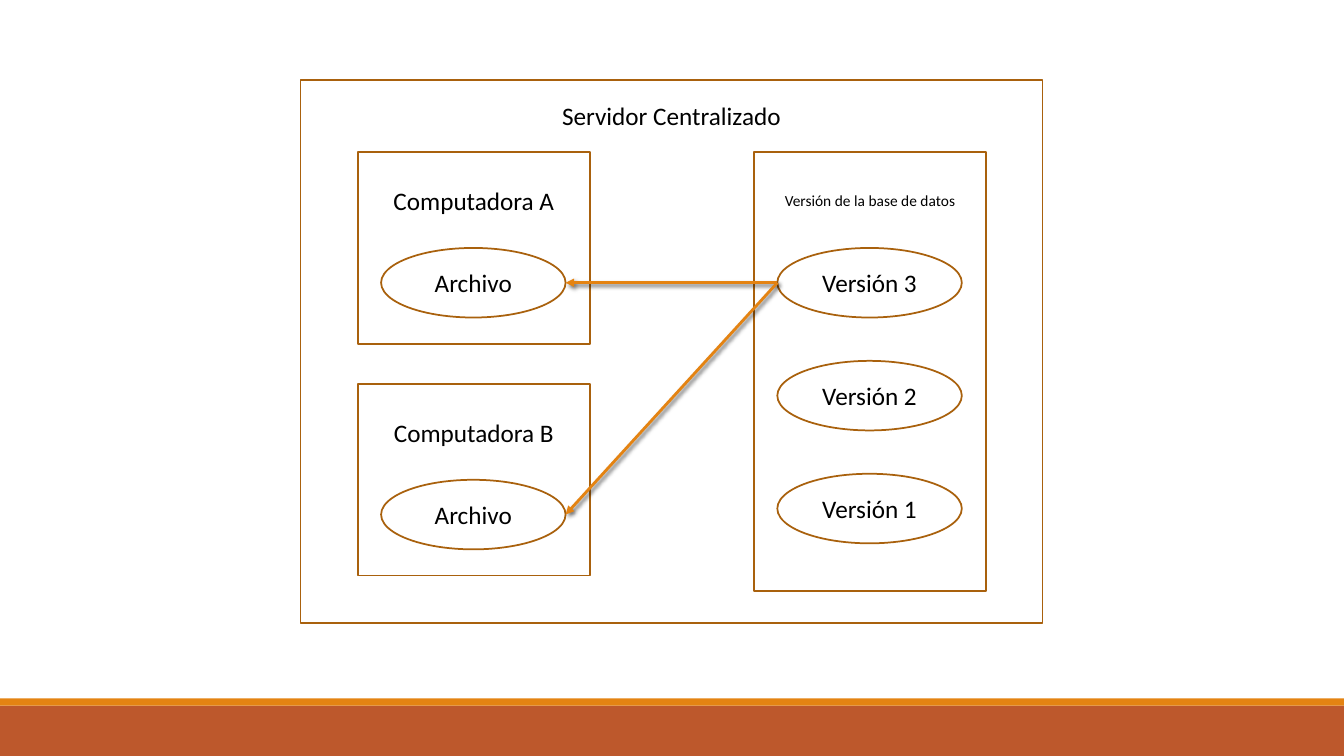
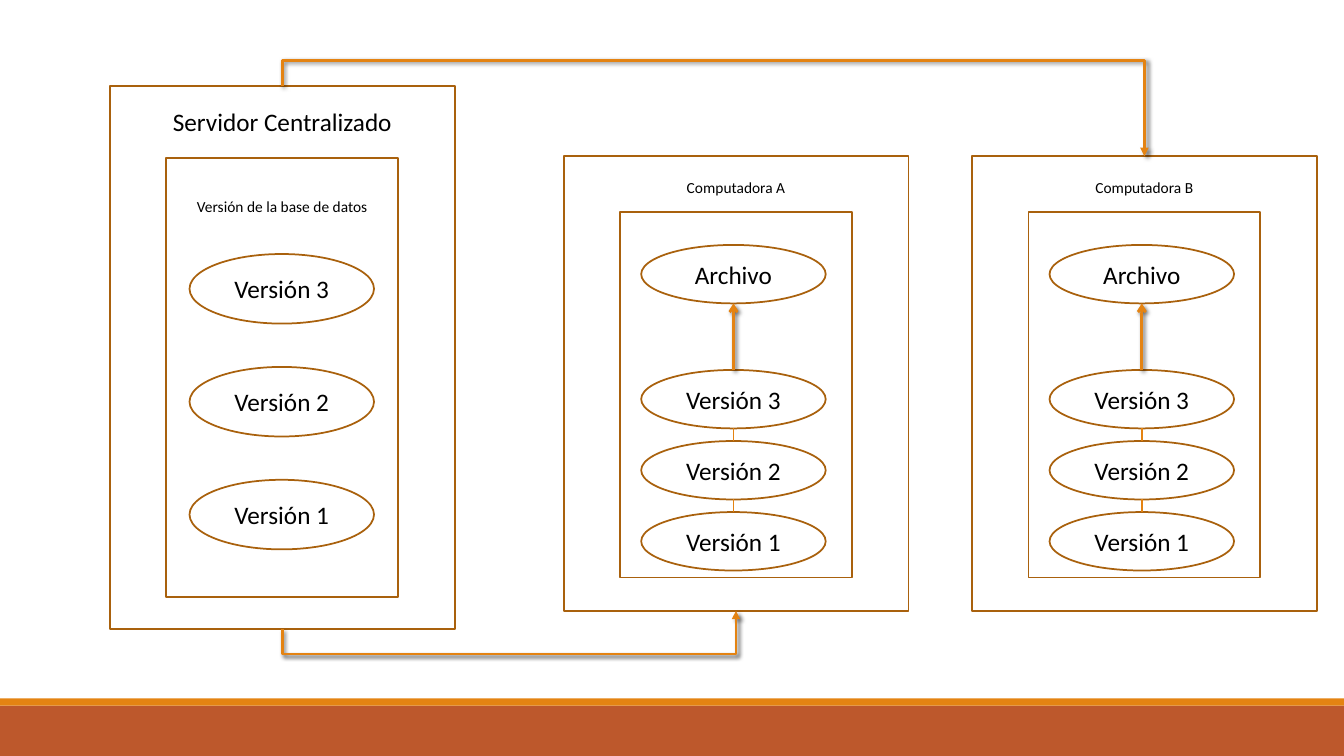
from dataclasses import dataclass

from lxml.etree import SubElement
from pptx import Presentation
from pptx.dml.color import RGBColor
from pptx.enum.shapes import MSO_CONNECTOR as Link, MSO_SHAPE as Preset
from pptx.enum.text import MSO_ANCHOR, MSO_AUTO_SIZE, PP_ALIGN
from pptx.oxml.ns import qn
from pptx.shapes.autoshape import Shape
from pptx.shapes.connector import Connector
from pptx.shapes.shapetree import GroupShapes, SlideShapes
from pptx.slide import Slide
from pptx.util import Inches, Pt

WHITE = RGBColor(0xFF, 0xFF, 0xFF)
BLACK = RGBColor(0x00, 0x00, 0x00)
BROWN = RGBColor(0xA9, 0x61, 0x0D)
ORANGE = RGBColor(0xE4, 0x83, 0x12)
RUST = RGBColor(0xBD, 0x58, 0x2C)

FONT = "Calibri"
LARGE, SMALL = 18, 11
PAGE_WIDTH, PAGE_HEIGHT = 13.33, 7.5
PANEL_WIDTH, OVAL_WIDTH = 2.3, 1.83
VERSIONS = ("Versión 3", "Versión 2", "Versión 1")

Canvas = GroupShapes | SlideShapes
Point = tuple[float, float]


@dataclass(frozen=True)
class Box:
    """A rectangle in inches, with the points where connectors attach."""
    left: float
    top: float
    width: float
    height: float

    @property
    def west(self) -> Point:
        return self.left, self.top + self.height / 2

    @property
    def east(self) -> Point:
        return self.left + self.width, self.top + self.height / 2

    @property
    def north(self) -> Point:
        return self.left + self.width / 2, self.top

    @property
    def south(self) -> Point:
        return self.left + self.width / 2, self.top + self.height

    def lengths(self) -> list[int]:
        return [Inches(v) for v in (self.left, self.top, self.width, self.height)]


# Basic elements
def write(shape: Shape, text: str, size: int) -> None:
    frame = shape.text_frame
    frame.text = text
    para = frame.paragraphs[0]
    para.alignment = PP_ALIGN.CENTER
    font = para.runs[0].font
    font.name, font.size, font.color.rgb = FONT, Pt(size), BLACK


def add_figure(canvas: Canvas, preset: Preset, box: Box, fill: RGBColor = WHITE) -> Shape:
    shape = canvas.add_shape(preset, *box.lengths())
    shape.shadow.inherit = False
    shape.fill.solid()
    shape.fill.fore_color.rgb = fill
    shape.line.color.rgb = BROWN
    shape.line.width = Pt(1.25)
    return shape


def add_oval(canvas: Canvas, box: Box, text: str) -> Box:
    oval = add_figure(canvas, Preset.OVAL, box)
    oval.text_frame.vertical_anchor = MSO_ANCHOR.MIDDLE
    write(oval, text, LARGE)
    return box


def add_label(canvas: Canvas, left: float, top: float, width: float,
              text: str, size: int = LARGE) -> None:
    height = 0.4 if size == LARGE else 0.29
    label = canvas.add_textbox(*Box(left, top, width, height).lengths())
    label.text_frame.word_wrap = True
    label.text_frame.auto_size = MSO_AUTO_SIZE.SHAPE_TO_FIT_TEXT
    write(label, text, size)


# Connectors
def style_connector(connector: Connector, head: str | None) -> None:
    """Thin plain line without a head; thick shadowed arrow with one."""
    connector.line.color.rgb = ORANGE
    connector.line.width = Pt(2 if head else 1)
    properties = connector.element.spPr
    effects = SubElement(properties, qn("a:effectLst"))
    if head:
        SubElement(properties.find(qn("a:ln")), qn("a:tailEnd"), type=head)
        shadow = SubElement(effects, qn("a:outerShdw"), blurRad=str(Pt(3)),
                            dist=str(Pt(2)), dir="2700000", rotWithShape="0")
        color = SubElement(shadow, qn("a:srgbClr"), val=str(BLACK))
        SubElement(color, qn("a:alpha"), val="60000")


def add_line(canvas: Canvas, start: Point, end: Point, head: str | None = None) -> None:
    ends = [Inches(v) for v in (*start, *end)]
    style_connector(canvas.add_connector(Link.STRAIGHT, *ends), head)


def add_elbow(canvas: Canvas, start: Point, end: Point, rail: float) -> None:
    """Leave start vertically, run along the height of rail, and arrive at end."""
    across, down = end[0] - start[0], end[1] - start[1]
    middle_x, middle_y = (start[0] + end[0]) / 2, (start[1] + end[1]) / 2
    half_width, half_height = abs(down) / 2, across / 2
    corners = (middle_x - half_width, middle_y - half_height,
               middle_x + half_width, middle_y + half_height)
    elbow = canvas.add_connector(Link.ELBOW, *[Inches(v) for v in corners])
    # The preset runs sideways, so it is turned and mirrored
    transform = elbow.element.spPr.find(qn("a:xfrm"))
    transform.set("rot", str((270 if down > 0 else 90) * 60000))
    transform.set("flipH", "1")
    if down < 0:
        transform.set("flipV", "1")
    bend = round((rail - start[1]) / down * 100000)
    guides = elbow.element.spPr.find(qn("a:prstGeom")).find(qn("a:avLst"))
    SubElement(guides, qn("a:gd"), name="adj1", fmla=f"val {bend}")
    style_connector(elbow, "triangle")


# Diagram parts
def add_server(canvas: Canvas, frame: Box) -> None:
    add_figure(canvas, Preset.RECTANGLE, frame)
    add_label(canvas, frame.left, frame.top + 0.16, frame.width, "Servidor Centralizado")


def add_database(canvas: Canvas, left: float, top: float) -> list[Box]:
    add_figure(canvas, Preset.RECTANGLE, Box(left, top, PANEL_WIDTH, 4.35))
    add_label(canvas, left, top + 0.34, PANEL_WIDTH, "Versión de la base de datos", SMALL)
    return [add_oval(canvas, Box(left + 0.23, top + 0.95 + 1.12 * row, OVAL_WIDTH, 0.69), text)
            for row, text in enumerate(VERSIONS)]


def add_workstation(canvas: Canvas, left: float, top: float, name: str) -> Box:
    """Computer holding only the working file."""
    add_figure(canvas, Preset.RECTANGLE, Box(left, top, PANEL_WIDTH, 1.9))
    add_label(canvas, left, top + 0.28, PANEL_WIDTH, name)
    return add_oval(canvas, Box(left + 0.23, top + 0.95, OVAL_WIDTH, 0.69), "Archivo")


def add_replica(canvas: Canvas, left: float, top: float, name: str) -> Box:
    """Computer holding the working file and every version."""
    frame = Box(left, top, 3.42, 4.51)
    panel = Box(left + 0.56, top + 0.55, PANEL_WIDTH, 3.63)
    add_figure(canvas, Preset.RECTANGLE, frame)
    add_figure(canvas, Preset.RECTANGLE, panel)
    add_label(canvas, panel.left, top + 0.17, PANEL_WIDTH, name, SMALL)
    oval_left = panel.left + 0.21
    ovals = [add_oval(canvas, Box(oval_left, top + 2.12 + 0.705 * row, OVAL_WIDTH, 0.58), text)
             for row, text in enumerate(VERSIONS)]
    archive = add_oval(canvas, Box(oval_left, top + 0.88, OVAL_WIDTH, 0.58), "Archivo")
    add_line(canvas, ovals[0].north, archive.south, "arrow")
    for upper, lower in zip(ovals, ovals[1:]):
        add_line(canvas, upper.south, lower.north)
    return frame


# Pages
def add_page(deck: Presentation) -> Slide:
    page = deck.slides.add_slide(deck.slide_layouts[6])
    for top, height, color in ((7, 0.5, RUST), (6.93, 0.07, ORANGE)):
        band = add_figure(page.shapes, Preset.RECTANGLE, Box(0, top, PAGE_WIDTH, height), color)
        band.line.fill.background()
    return page


def build_centralized(page: Slide) -> None:
    canvas = page.shapes.add_group_shape().shapes
    add_server(canvas, Box(2.98, 0.79, 7.36, 5.39))
    latest = add_database(canvas, 7.48, 1.51)[0]
    archives = [add_workstation(canvas, 3.55, 1.51 + 2.3 * row, f"Computadora {letter}")
                for row, letter in enumerate("AB")]
    for archive in archives:
        add_line(canvas, latest.west, archive.east, "triangle")


def build_distributed(page: Slide) -> None:
    server = Box(1.09, 0.85, 3.42, 5.39)
    canvas = page.shapes.add_group_shape().shapes
    add_server(canvas, server)
    add_database(canvas, 1.65, 1.57)
    first, second = [
        add_replica(page.shapes.add_group_shape().shapes, 5.59 + 4.05 * column, 1.55,
                    f"Computadora {letter}")
        for column, letter in enumerate("AB")]
    add_elbow(page.shapes, server.north, second.north, 0.6)
    add_elbow(page.shapes, server.south, first.south, 6.49)


def main() -> None:
    deck = Presentation()
    deck.slide_width, deck.slide_height = Inches(PAGE_WIDTH), Inches(PAGE_HEIGHT)
    for build in (build_centralized, build_distributed):
        build(add_page(deck))
    deck.save("out.pptx")


if __name__ == "__main__":
    main()
